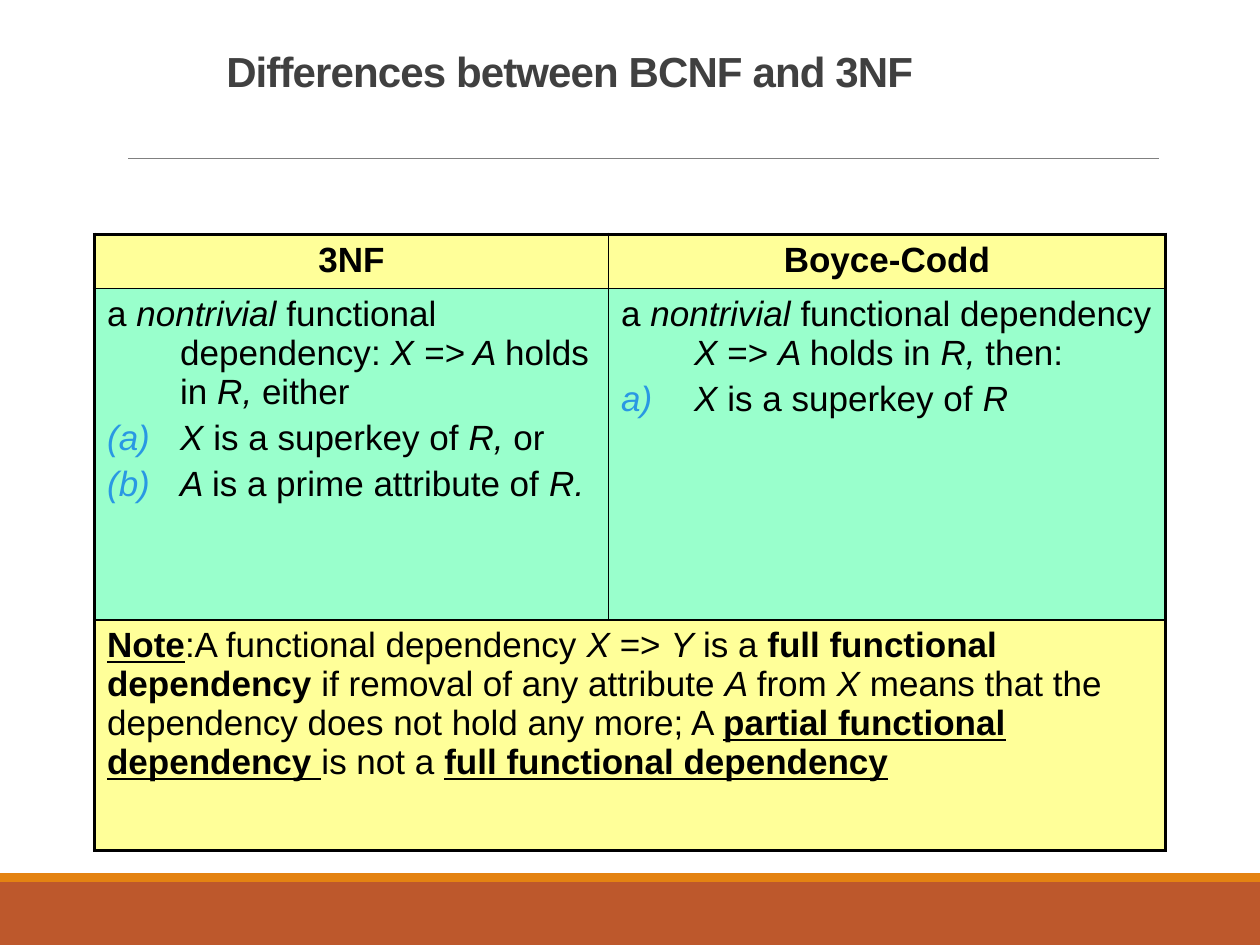
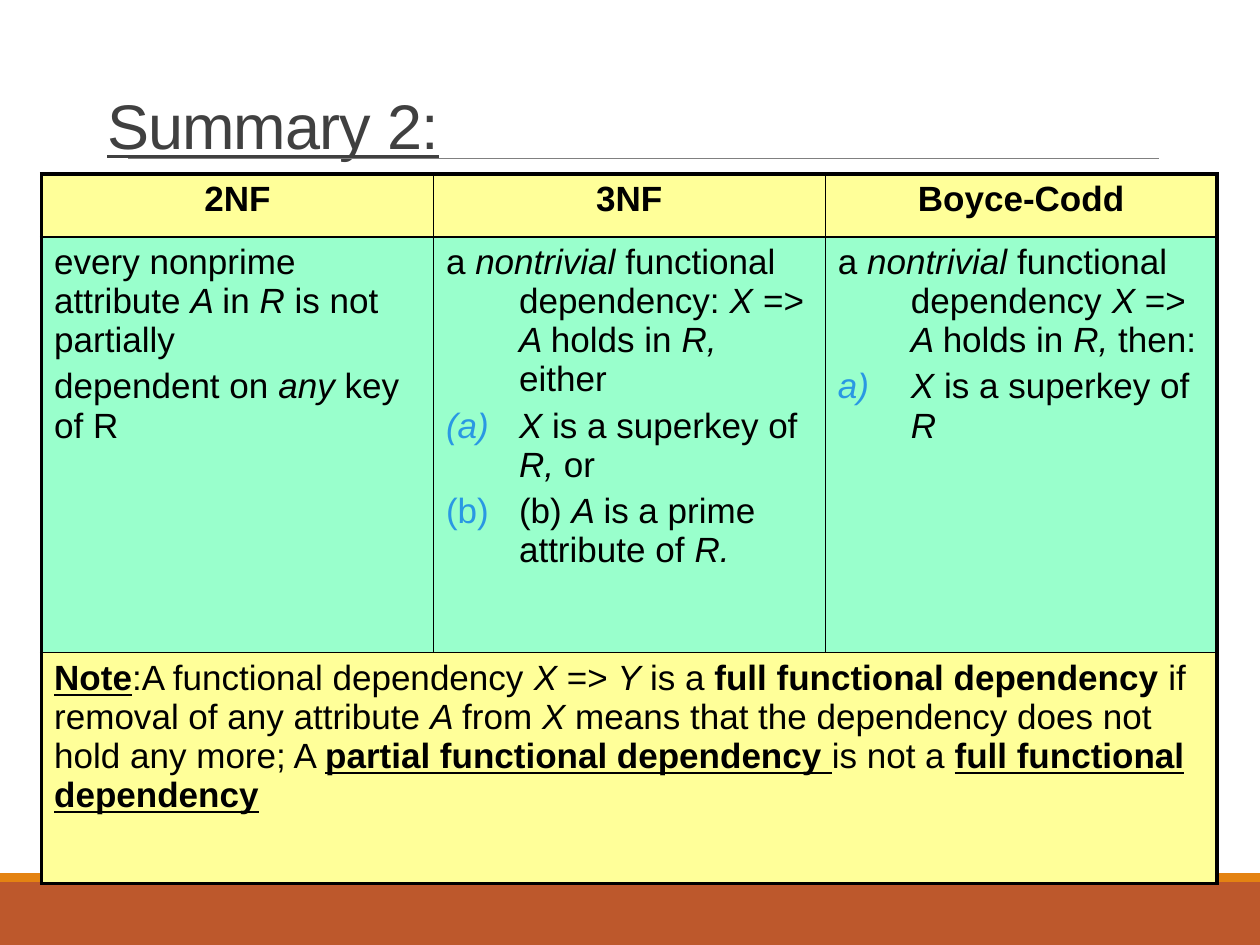
import pptx
import pptx.util
import pptx.dml.color
import pptx.enum.shapes
import pptx.enum.text
import lxml.etree

Inches, Pt = pptx.util.Inches, pptx.util.Pt
ALIGN = pptx.enum.text.PP_ALIGN

COLOURS = {"band": "BD582C", "stripe": "E48312", "rule": "808080", "title": "404040",
           "text": "000000", "label": "FFFF99", "rules": "99FFCC", "marker": "2998E3"}
FONT = "Arial"
BODY_SIZE = 20
THICK, THIN = 2.25, 1
HANG = 0.58

# Content: a paragraph is (kind, runs); a run is (text, style letters b, i, u)
HANGING, PLAIN = "hanging", "plain"
BOTH_PARENS, RIGHT_PAREN = "alphaLcParenBoth", "alphaLcParenR"

SECOND_NF = [
    (PLAIN, [("every nonprime attribute ", ""), ("A ", "i"), ("in ", ""), ("R ", "i"),
             ("is not partially", "")]),
    (PLAIN, [("dependent on ", ""), ("any ", "i"), ("key of R", "")]),
]


def third_nf(prime_prefix):
    return [
        (HANGING, [("a ", ""), ("nontrivial ", "i"), ("functional dependency: ", ""),
                   ("X => A ", "i"), ("holds in ", ""), ("R, ", "i"), ("either ", "")]),
        (BOTH_PARENS, [("X ", "i"), ("is a superkey of ", ""), ("R, ", "i"), ("or ", "")]),
        (BOTH_PARENS, prime_prefix + [("A ", "i"), ("is a prime attribute of ", ""),
                                      ("R.", "i")]),
    ]


BOYCE_CODD = [
    (HANGING, [("a ", ""), ("nontrivial ", "i"), ("functional dependency ", ""), ("X ", "i"),
               ("=> ", ""), ("A ", "i"), ("holds in ", ""), ("R, ", "i"), ("then:", "")]),
    (RIGHT_PAREN, [("X ", "i"), ("is a superkey of ", ""), ("R", "i")]),
]
NOTE = [
    (PLAIN, [("Note", "bu"), (":A functional dependency ", ""), ("X ", "i"), ("=> ", ""),
             ("Y ", "i"), ("is a ", ""), ("full functional dependency ", "b"),
             ("if removal of any attribute ", ""), ("A ", "i"), ("from ", ""), ("X ", "i"),
             ("means that the dependency does not hold any more; A ", ""),
             ("partial functional dependency ", "bu"), ("is not a ", ""),
             ("full functional dependency", "bu")]),
]

SLIDES = [
    {"title": "Differences between BCNF and 3NF", "style": "b", "size": 24,
     "align": ALIGN.CENTER, "title_at": (0.27, 0.33), "table_at": (0.75, 1.86),
     "widths": [4.08, 4.42], "heights": [0.43, 2.63, 1.83],
     "forms": [("3NF", third_nf([])), ("Boyce-Codd", BOYCE_CODD)]},
    {"title": "Summary 2:", "style": "u", "size": 36,
     "align": ALIGN.LEFT, "title_at": (0.75, 0.69), "table_at": (0.33, 1.38),
     "widths": [3.11] * 3, "heights": [0.5, 3.3, 1.83],
     "forms": [("2NF", SECOND_NF), ("3NF", third_nf([("(b) ", "")])),
               ("Boyce-Codd", BOYCE_CODD)]},
]


def rgb(name):
    return pptx.dml.color.RGBColor.from_string(COLOURS[name])


def add_child(parent, tag, **attributes):
    child = parent.makeelement(pptx.oxml.ns.qn(tag), attributes)
    parent.append(child)
    return child


def add_run(paragraph, text, style, size, colour):
    run = paragraph.add_run()
    run.text = text
    font = run.font
    font.name, font.size = FONT, Pt(size)
    font.bold, font.italic, font.underline = "b" in style, "i" in style, "u" in style
    font.color.rgb = rgb(colour)
    return run


# Shared frame: footer bands and the rule under the title
def add_frame(slide):
    for colour, top, height in (("band", 7, 0.5), ("stripe", 6.93, 0.07)):
        band = slide.shapes.add_shape(pptx.enum.shapes.MSO_SHAPE.RECTANGLE, 0, Inches(top),
                                      deck.slide_width, Inches(height))
        band.shadow.inherit = False
        band.fill.solid()
        band.fill.fore_color.rgb = rgb(colour)
        band.line.fill.background()
    rule = slide.shapes.add_connector(pptx.enum.shapes.MSO_CONNECTOR.STRAIGHT, Inches(1.02),
                                      Inches(1.26), Inches(9.2), Inches(1.26))
    rule.line.color.rgb = rgb("rule")
    rule.line.width = Pt(0.5)
    add_child(rule.element.spPr, "a:effectLst")


def set_title(slide, content):
    title = slide.shapes.title
    left, top = content["title_at"]
    title.left, title.top = Inches(left), Inches(top)
    title.width, title.height = Inches(8.5), Inches(0.5)
    frame = title.text_frame
    frame.auto_size = pptx.enum.text.MSO_AUTO_SIZE.NONE
    frame.vertical_anchor = pptx.enum.text.MSO_ANCHOR.TOP
    frame.margin_top = Inches(0.09)
    paragraph = frame.paragraphs[0]
    paragraph.alignment = content["align"]
    paragraph.line_spacing = 0.85
    run = add_run(paragraph, content["title"], content["style"], content["size"], "title")
    run.font._element.set("spc", "-50")


def set_borders(cell, thick_sides):
    properties = cell._tc.get_or_add_tcPr()
    for place, side in enumerate("LRTB"):
        width = THICK if side in thick_sides else THIN
        line = add_child(properties, "a:ln" + side, w=str(Pt(width)))
        fill = add_child(line, "a:solidFill")
        add_child(fill, "a:srgbClr", val=COLOURS["text"])
        properties.insert(place, line)  # borders come before the fill


def fill_cell(cell, paragraphs, colour, thick_sides, align=ALIGN.LEFT):
    cell.fill.solid()
    cell.fill.fore_color.rgb = rgb(colour)
    set_borders(cell, thick_sides)
    frame = cell.text_frame
    for index, (kind, runs) in enumerate(paragraphs):
        paragraph = frame.add_paragraph() if index else frame.paragraphs[0]
        paragraph.alignment = align
        paragraph.space_before = Pt(BODY_SIZE * 0.2 if index else 0)
        properties = paragraph._p.get_or_add_pPr()
        if kind != PLAIN:
            properties.set("marL", str(Inches(HANG)))
            properties.set("indent", str(-Inches(HANG)))
        if kind in (BOTH_PARENS, RIGHT_PAREN):
            add_child(add_child(properties, "a:buClr"), "a:srgbClr", val=COLOURS["marker"])
            add_child(properties, "a:buFont", typeface="+mj-lt")
            add_child(properties, "a:buAutoNum", type=kind)
        for text, style in runs:
            add_run(paragraph, text, style, BODY_SIZE, "text")


# Table: heading row, rules row, and a note across all columns
def add_forms_table(slide, content):
    widths, heights = content["widths"], content["heights"]
    left, top = content["table_at"]
    table = slide.shapes.add_table(len(heights), len(widths), Inches(left), Inches(top),
                                   Inches(sum(widths)), Inches(sum(heights))).table
    table.first_row = table.horz_banding = False
    for column, width in zip(table.columns, widths):
        column.width = Inches(width)
    for row, height in zip(table.rows, heights):
        row.height = Inches(height)

    last = len(widths) - 1
    for column, (heading, rules) in enumerate(content["forms"]):
        sides = ("L" if column == 0 else "") + ("R" if column == last else "")
        fill_cell(table.cell(0, column), [(PLAIN, [(heading, "b")])], "label", sides + "T",
                  ALIGN.CENTER)
        fill_cell(table.cell(1, column), rules, "rules", sides)
    note = table.cell(2, 0)
    note.merge(table.cell(2, last))
    fill_cell(note, NOTE, "label", "LRB")


deck = pptx.Presentation()
deck.slide_width, deck.slide_height = Inches(10), Inches(7.5)
title_only = deck.slide_layouts[5]
for content in SLIDES:
    slide = deck.slides.add_slide(title_only)
    add_frame(slide)
    set_title(slide, content)
    add_forms_table(slide, content)
deck.save("out.pptx")
